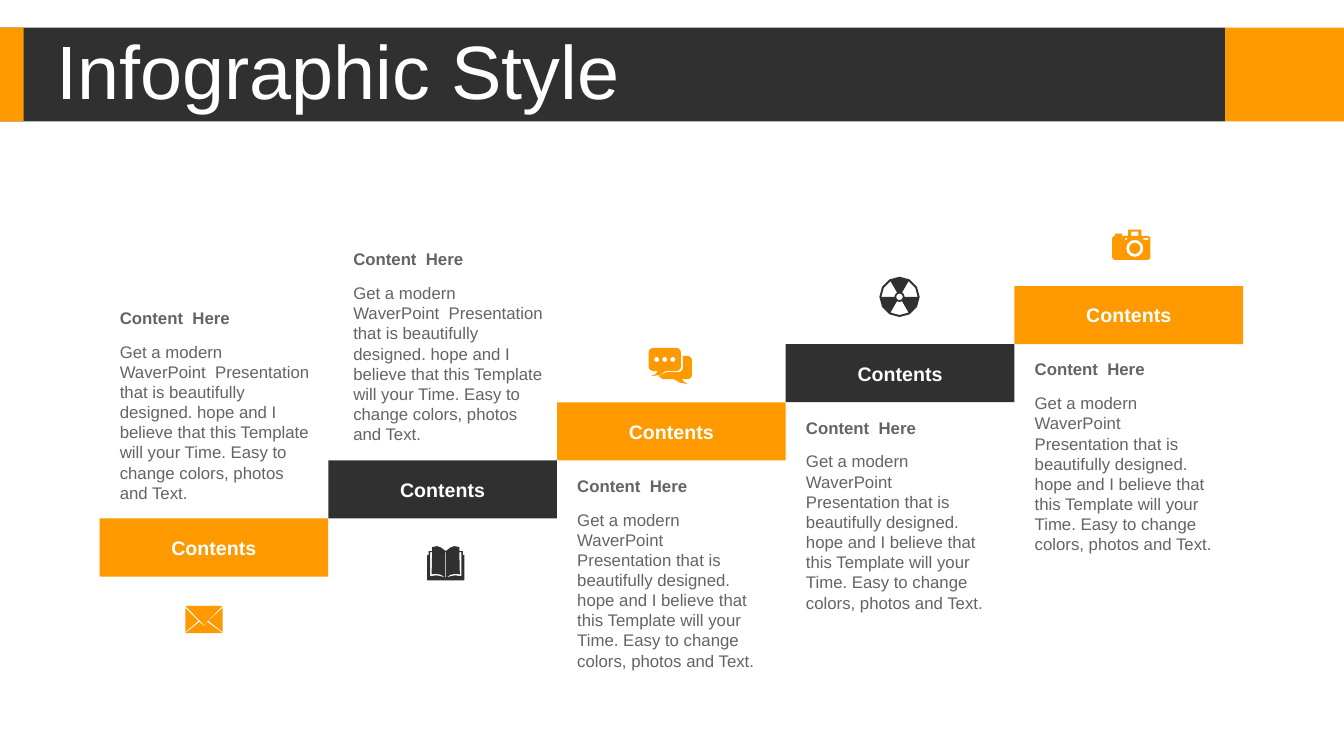
from math import cos, radians, sin

from pptx import Presentation
from pptx import util as u
from pptx.dml.color import RGBColor
from pptx.enum import shapes, text

ORANGE, DARK, GREY, WHITE = "FE9900", "303030", "646464", "FFFFFF"
STEP_COUNT = 5
STEP_WIDTH, STEP_HEIGHT = 28.82 / STEP_COUNT, 7.32 / STEP_COUNT
HEADING = "Content  Here"
BODY = ("Get a modern WaverPoint  Presentation that is beautifully designed. "
        "hope and I believe that this Template will your Time. "
        "Easy to change colors, photos and Text.")


def rgb(color):
    return RGBColor.from_string(color)


def paint(shape, color):
    shape.shadow.inherit = False
    shape.fill.solid()
    shape.fill.fore_color.rgb = rgb(color)
    shape.line.fill.background()


def write(frame, words, size, color, bold=False, align=text.PP_ALIGN.LEFT):
    frame.word_wrap = True
    frame.text = words
    paragraph = frame.paragraphs[0]
    paragraph.alignment = align
    font = paragraph.font
    font.name, font.size, font.bold = "Arial", u.Pt(size), bold
    font.color.rgb = rgb(color)
    return paragraph


def add_bar(slide, left, top, width, height, color):
    bar = slide.shapes.add_shape(shapes.MSO_SHAPE.RECTANGLE, u.Cm(left), u.Cm(top),
                                 u.Cm(width), u.Cm(height))
    paint(bar, color)
    return bar


def arc(cx, cy, radius, start, end):
    """Points along an arc, one each 30 degrees, clockwise from the right."""
    count = abs(end - start) // 30
    angles = [radians(start + (end - start) * i / count) for i in range(count + 1)]
    return [(cx + radius * cos(a), cy + radius * sin(a)) for a in angles]


def circle(cx, cy, radius):
    return arc(cx, cy, radius, 0, 330)


def box(left, top, right, bottom):
    return [(left, top), (right, top), (right, bottom), (left, bottom)]


def envelope():
    return [
        [(22, 16), (37, 27), (0, 27), (14, 16), (18.5, 20)],
        [(37, 2), (37, 26), (23, 15)],
        [(0, 2), (13, 15), (0, 26)],
        [(0, 0), (37, 0), (18.5, 19)],
    ]


def book():
    cover = [(0, 34), (0, 9), (1.5, 9), (1.5, 5), (5, 5), (5, 1), (10, 0), (14, 1.5),
             (18.5, 5), (23, 1.5), (27, 0), (32, 1), (32, 5), (35.5, 5), (35.5, 9),
             (37, 9), (37, 34)]
    left_page = [(18, 31), (14, 28.5), (9, 27.5), (4.5, 28), (5, 6), (3, 6), (3, 30),
                 (9, 29), (14, 30)]
    right_page = [(37 - x, y) for x, y in left_page]
    return [cover, left_page, right_page, box(18.2, 6, 18.8, 31)]


def chat():
    front = (arc(4.5, 4.5, 4.5, 180, 270) + arc(27.5, 4.5, 4.5, 270, 360)
             + arc(27.5, 18.5, 4.5, 0, 90)
             + [(17, 23), (11, 27), (2, 28), (7, 26), (9, 23)]
             + arc(4.5, 18.5, 4.5, 90, 180))
    back = ([(34, 8)] + arc(38.5, 12.5, 4.5, 270, 360) + arc(38.5, 26.5, 4.5, 0, 90)
            + [(33, 31), (35, 33.5), (39, 36), (31, 34.5), (25, 31), (14, 31),
               (10, 28), (18, 24)]
            + arc(29.5, 19.5, 4.5, 90, 0))
    dots = [circle(x, 11.5, 2.5) for x in (8, 16, 24)]
    return [front, back, *dots]


def radiation():
    gaps = [arc(20, 20, 18, a, a + 60) + arc(20, 20, 5, a + 60, a)
            for a in (60, 180, 300)]
    return [circle(20, 20, 20), circle(20, 20, 3.2), *gaps]


def camera():
    body = (arc(3, 9, 3, 180, 270) + [(3, 4), (10, 4), (10, 6), (16, 6), (16, 0),
                                      (29, 0), (29, 6)]
            + arc(35, 9, 3, 270, 360) + arc(35, 27, 3, 0, 90) + arc(3, 27, 3, 90, 180))
    lens = [circle(22.5, 18.5, radius) for radius in (8.5, 5.5)]
    return [body, box(19, 2, 26, 6), box(13, 8, 15, 10), box(31, 8, 36, 10), *lens]


def add_icon(slide, left, top, contours, color):
    """Draw contours given in hundredths of an inch from the icon's corner."""
    fine = 10
    outlines = [[(x * fine, y * fine) for x, y in contour] for contour in contours]
    builder = slide.shapes.build_freeform(*outlines[0][0],
                                          scale=u.Cm(2.54) / (100 * fine))
    builder.add_line_segments(outlines[0][1:])
    for outline in outlines[1:]:
        builder.move_to(*outline[0])
        builder.add_line_segments(outline[1:])
    paint(builder.convert_to_shape(u.Cm(left), u.Cm(top)), color)


def add_caption(slide, left, top, width):
    parts = ((HEADING, 0, 0.77, True, text.MSO_ANCHOR.MIDDLE),
             (BODY, 0.86, 4.37, False, text.MSO_ANCHOR.TOP))
    for words, offset, height, bold, anchor in parts:
        frame = slide.shapes.add_textbox(u.Cm(left), u.Cm(top + offset),
                                         u.Cm(width), u.Cm(height)).text_frame
        frame.vertical_anchor = anchor
        write(frame, words, 12, GREY, bold)


def add_header(slide, left, top, width, height):
    edge, end = 0.6, 3.0
    add_bar(slide, left + width - end, top, end, height, ORANGE)
    add_bar(slide, left, top, width - end, height, DARK)
    add_bar(slide, left, top, edge, height, ORANGE)
    title = slide.shapes.title
    title.left, title.top = u.Cm(left + 1.17), u.Cm(top + 0.18)
    title.width, title.height = u.Cm(24.64), u.Cm(height - 0.36)
    frame = title.text_frame
    frame.auto_size = text.MSO_AUTO_SIZE.NONE
    frame.vertical_anchor = text.MSO_ANCHOR.MIDDLE
    write(frame, "Infographic Style", 54, WHITE).line_spacing = 0.9
    slide.shapes.element.append(title.element)  # in front of the bars


def add_step(slide, left, top, color, caption, icon):
    bar = add_bar(slide, left, top, STEP_WIDTH, STEP_HEIGHT, color)
    bar.text_frame.vertical_anchor = text.MSO_ANCHOR.MIDDLE
    write(bar.text_frame, "Contents", 14, WHITE, True, text.PP_ALIGN.CENTER)
    caption_x, caption_y, caption_width = caption
    add_caption(slide, left + caption_x, top + caption_y, caption_width)
    draw, icon_x, icon_y = icon
    add_icon(slide, left + icon_x, top + icon_y, draw(), color)


def add_staircase(slide, left, bottom):
    above, below = (0.26, -5.45, 5.36), (0.26, 1.71, 5.28)
    steps = [
        (ORANGE, above, (envelope, 2.16, 2.2)),
        (DARK, (0.38, -5.46, 5.36), (book, 2.49, 2.16)),
        (ORANGE, below, (chat, 2.31, -1.37)),
        (DARK, below, (radiation, 2.36, -1.7)),
        (ORANGE, below, (camera, 2.46, -1.42)),
    ]
    for i, step in enumerate(steps):
        add_step(slide, left + i * STEP_WIDTH, bottom - (i + 1) * STEP_HEIGHT, *step)


def main():
    deck = Presentation()
    deck.slide_width, deck.slide_height = u.Cm(33.87), u.Cm(19.05)
    slide = deck.slides.add_slide(deck.slide_layouts[5])
    add_header(slide, 0, 0.7, 33.87, 2.36)
    add_staircase(slide, 2.51, 14.53)
    deck.save("out.pptx")


if __name__ == "__main__":
    main()
